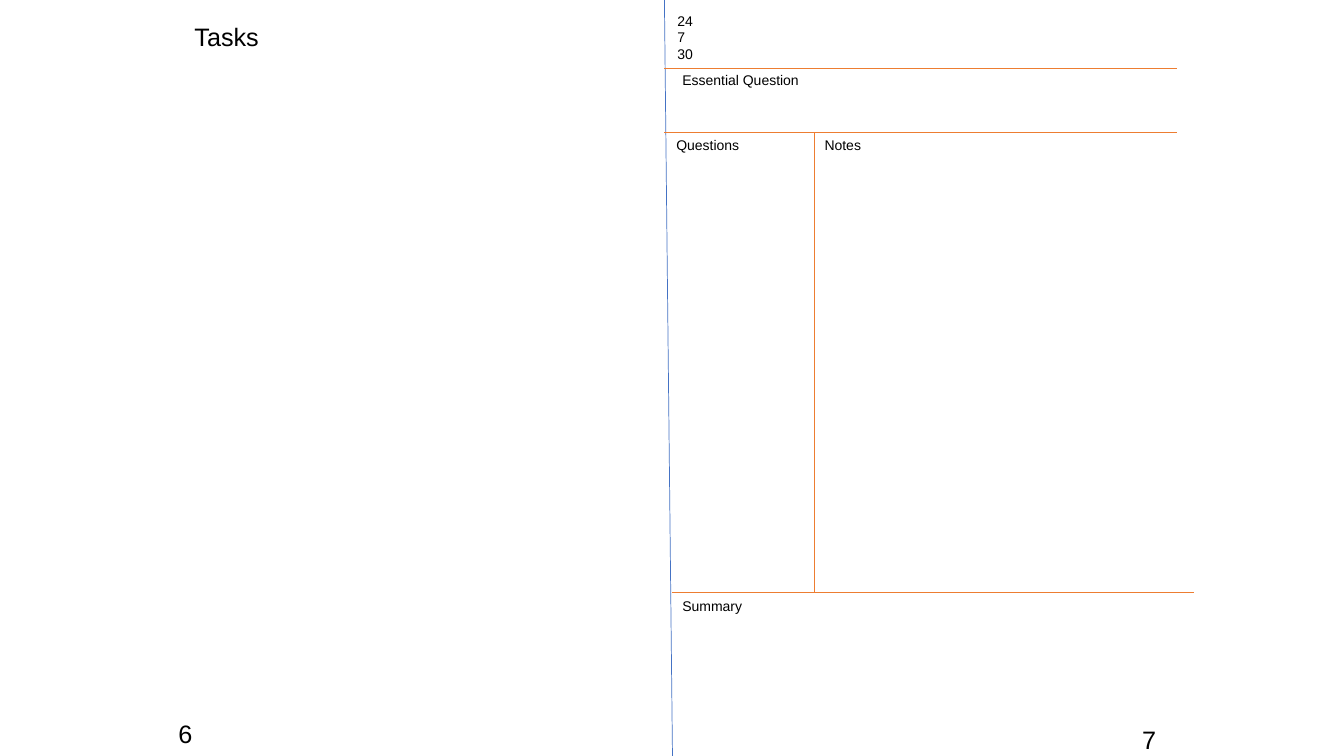
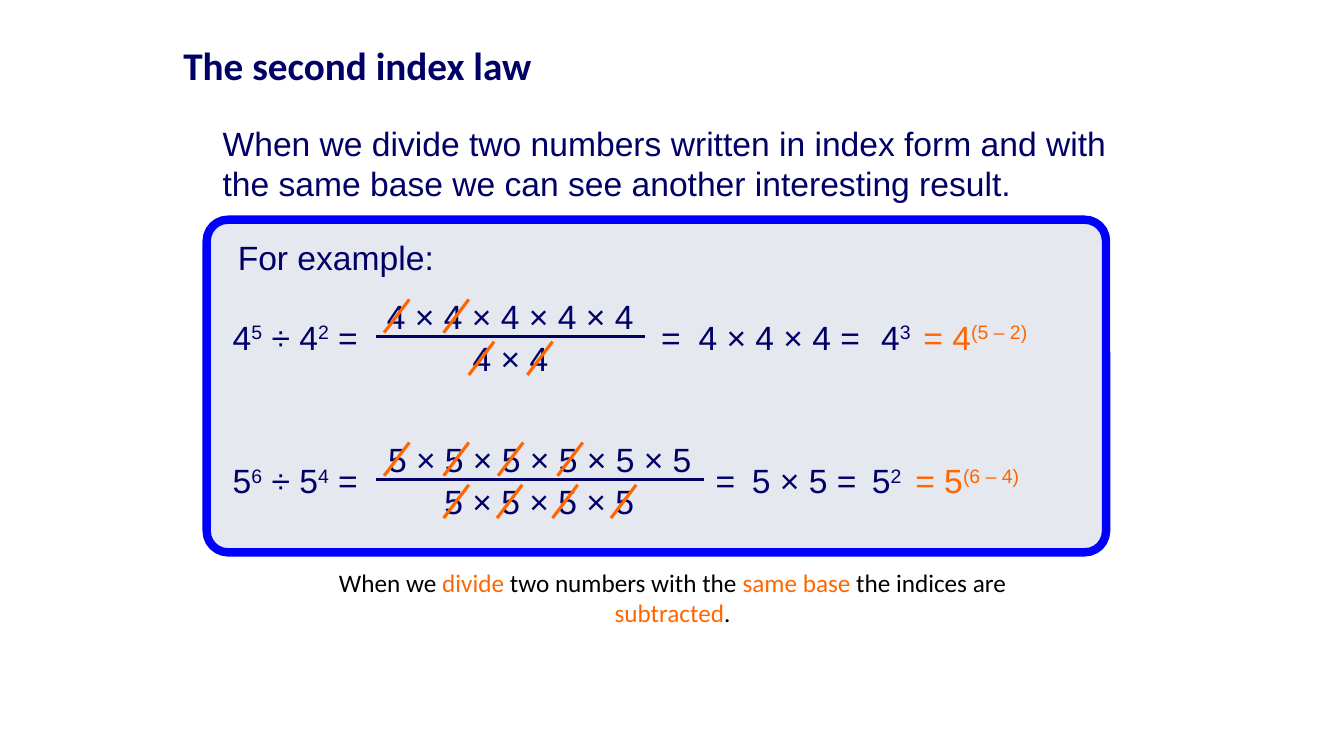
"""Build a notebook spread and a slide on the second index law."""
from dataclasses import dataclass
from typing import Any

import lxml.etree
import pptx
import pptx.dml.color
import pptx.enum.shapes
import pptx.enum.text
import pptx.oxml.ns
import pptx.util

Inches = pptx.util.Inches
Align = pptx.enum.text.PP_ALIGN
Anchor = pptx.enum.text.MSO_ANCHOR
AutoSize = pptx.enum.text.MSO_AUTO_SIZE
Shapes = pptx.enum.shapes.MSO_SHAPE
qn = pptx.oxml.ns.qn


@dataclass(frozen=True)
class Theme:
    black: str = "000000"
    white: str = "FFFFFF"
    navy: str = "000066"
    ink: str = "010066"
    orange: str = "FF6600"
    rule: str = "ED7D31"
    divider: str = "4472C4"
    panel: str = "CFD2E3"
    border: str = "0000FF"
    sans: str = "Arial"
    display: str = "Calibri"
    label: int = 10
    heading: int = 18
    math: int = 24
    title: int = 28
    thin: float = 0.5
    medium: float = 2.25
    thick: float = 6


T = Theme()


@dataclass(frozen=True)
class Style:
    size: int
    color: str
    font: str = T.sans
    bold: bool = False
    marked: str | None = None
    align: Any = Align.LEFT
    anchor: Any = Anchor.TOP
    spacing: float = 1.0


LABEL = Style(T.label, T.black)
HEADING = Style(T.heading, T.black)
MATH = Style(T.math, T.ink)
RESULT = Style(T.math, T.orange)
CAPTION = Style(T.heading, T.black, T.display, marked=T.orange, align=Align.CENTER)
TITLE = Style(T.title, T.navy, T.display, True, anchor=Anchor.MIDDLE, spacing=0.9)


@dataclass(frozen=True)
class Label:
    text: str
    left: float
    top: float
    width: float
    height: float
    style: Style = LABEL
    wrap: bool = False


@dataclass(frozen=True)
class Rule:
    x1: float
    y1: float
    x2: float
    y2: float
    color: str = T.rule
    width: float = T.thin


@dataclass(frozen=True)
class Example:
    top: float
    bar_end: float
    labels: tuple[Label, ...]
    upper_strikes: tuple[float, ...]
    lower_strikes: tuple[float, ...]


SPREAD_RULES = (
    Rule(6.59, 0, 6.67, 7.5, T.divider),
    Rule(6.59, 0.68, 11.67, 0.68),
    Rule(6.59, 1.31, 11.67, 1.31),
    Rule(6.67, 5.88, 11.84, 5.88),
    Rule(8.08, 1.31, 8.08, 5.88),
)
SPREAD_LABELS = (
    Label("6", 1.67, 7.08, 0.34, 0.4, HEADING),
    Label("7", 11.23, 7.14, 0.6, 0.4, HEADING, True),
    Label("24\n7\n30", 6.62, 0.07, 0.47, 0.61, wrap=True),
    Label("Essential Question", 6.67, 0.66, 1.36, 0.27),
    Label("Notes", 8.08, 1.31, 0.57, 0.27),
    Label("Questions", 6.61, 1.31, 0.83, 0.27),
    Label("Summary", 6.67, 5.88, 0.8, 0.27),
    Label("Tasks", 1.83, 0.16, 0.85, 0.4, HEADING),
)
LAW_LABELS = (
    Label("When we divide two numbers written in index form and with the same "
          "base we can see another interesting result.",
          2.11, 1.17, 9.27, 0.91, MATH, True),
    Label("For example:", 2.26, 2.3, 2.15, 0.5, MATH),
    Label("The second index law", 1.72, 0.05, 9, 1.25, TITLE, True),
)


def term(text: str, left: float, width: float, top: float = 0,
         style: Style = MATH) -> Label:
    return Label(text, left, top, width, 0.5, style)


EXAMPLES = (
    Example(3.09, 6.4, (
        term("4|5| ÷ 4|2| =", 2.21, 1.47),
        term("4 × 4 × 4 × 4 × 4", 3.74, 2.66, -0.2),
        term("4 × 4", 4.59, 0.95, 0.21),
        term("=", 6.46, 0.4),
        term("4 × 4 × 4 =", 6.83, 1.8),
        term("4|3|", 8.64, 0.51),
        term("= 4|(5 – 2)|", 9.06, 1.32, style=RESULT),
    ), (3.81, 4.4), (4.65, 5.23)),
    Example(4.51, 6.98, (
        term("5|6| ÷ 5|4| =", 2.21, 1.47),
        term("5 × 5 × 5 × 5 × 5 × 5", 3.75, 3.22, -0.2),
        term("5 × 5 × 5 × 5", 4.31, 2.08, 0.21),
        term("=", 7, 0.4),
        term("5 × 5 =", 7.36, 1.24),
        term("5|2|", 8.55, 0.51),
        term("= 5|(6 – 4)|", 8.98, 1.32, style=RESULT),
    ), (3.81, 4.4, 4.94, 5.53), (4.4, 4.93, 5.48, 6.06)),
)


def rgb(color: str) -> pptx.dml.color.RGBColor:
    return pptx.dml.color.RGBColor.from_string(color)


def apply(target: Any, values: dict[str, Any]) -> None:
    for name, value in values.items():
        setattr(target, name, value)


def write(tf: Any, text: str, style: Style, wrap: bool) -> None:
    apply(tf, {"word_wrap": wrap, "vertical_anchor": style.anchor,
               "auto_size": AutoSize.NONE if wrap else AutoSize.SHAPE_TO_FIT_TEXT})
    for i, line in enumerate(text.split("\n")):
        p = tf.add_paragraph() if i else tf.paragraphs[0]
        apply(p, {"alignment": style.align, "line_spacing": style.spacing})
        for j, piece in enumerate(line.split("|")):
            if not piece:
                continue
            r = p.add_run()
            r.text = piece
            apply(r.font, {"size": pptx.util.Pt(style.size), "name": style.font,
                           "bold": style.bold})
            special = j % 2 == 1
            r.font.color.rgb = rgb(style.marked if special and style.marked
                                   else style.color)
            if special and not style.marked:
                r._r.get_or_add_rPr().set("baseline", "30000")


def add_label(s: Any, label: Label, dy: float = 0) -> None:
    box = s.shapes.add_textbox(Inches(label.left), Inches(label.top + dy),
                               Inches(label.width), Inches(label.height))
    write(box.text_frame, label.text, label.style, label.wrap)


def add_rule(s: Any, rule: Rule) -> None:
    line = s.shapes.add_connector(
        pptx.enum.shapes.MSO_CONNECTOR.STRAIGHT,
        Inches(rule.x1), Inches(rule.y1), Inches(rule.x2), Inches(rule.y2))
    line.line.color.rgb = rgb(rule.color)
    line.line.width = pptx.util.Pt(rule.width)
    lxml.etree.SubElement(line._element.spPr, qn("a:effectLst"))


def add_box(s: Any, kind: Any, left: float, top: float, width: float,
            height: float, fill: str) -> Any:
    sp = s.shapes.add_shape(kind, Inches(left), Inches(top),
                            Inches(width), Inches(height))
    sp.shadow.inherit = False
    sp.fill.solid()
    sp.fill.fore_color.rgb = rgb(fill)
    sp.line.fill.background()
    return sp


def add_example(s: Any, example: Example) -> None:
    for label in example.labels:
        add_label(s, label, example.top)
    bar = example.top + 0.25
    add_rule(s, Rule(3.73, bar, example.bar_end, bar, T.navy, T.medium))
    for strikes, dy in ((example.upper_strikes, 0.21), (example.lower_strikes, 0.63)):
        y = example.top + dy
        for x in strikes:
            add_rule(s, Rule(x, y, x + 0.25, y - 0.33, T.orange, T.medium))


def build_spread(s: Any) -> None:
    for rule in SPREAD_RULES:
        add_rule(s, rule)
    for label in SPREAD_LABELS:
        add_label(s, label)


def build_law(s: Any) -> None:
    panel = add_box(s, Shapes.ROUNDED_RECTANGLE, 2.05, 2.18, 8.92, 3.3, T.panel)
    panel.adjustments[0] = 0.064
    color = panel._element.spPr.find(qn("a:solidFill")).find(qn("a:srgbClr"))
    lxml.etree.SubElement(color, qn("a:alpha")).set("val", "50000")
    panel.line.color.rgb = rgb(T.border)
    panel.line.width = pptx.util.Pt(T.thick)
    caption = add_box(s, Shapes.RECTANGLE, 2.93, 5.58, 7.48, 0.93, T.white)
    write(caption.text_frame,
          "When we |divide| two numbers with the |same base| the indices are "
          "|subtracted|.", CAPTION, True)
    for label in LAW_LABELS:
        add_label(s, label)
    for example in EXAMPLES:
        add_example(s, example)


def main() -> None:
    prs = pptx.Presentation()
    apply(prs, {"slide_width": Inches(13.33), "slide_height": Inches(7.5)})
    for build in (build_spread, build_law):
        build(prs.slides.add_slide(prs.slide_layouts[6]))
    prs.save("out.pptx")


if __name__ == "__main__":
    main()
